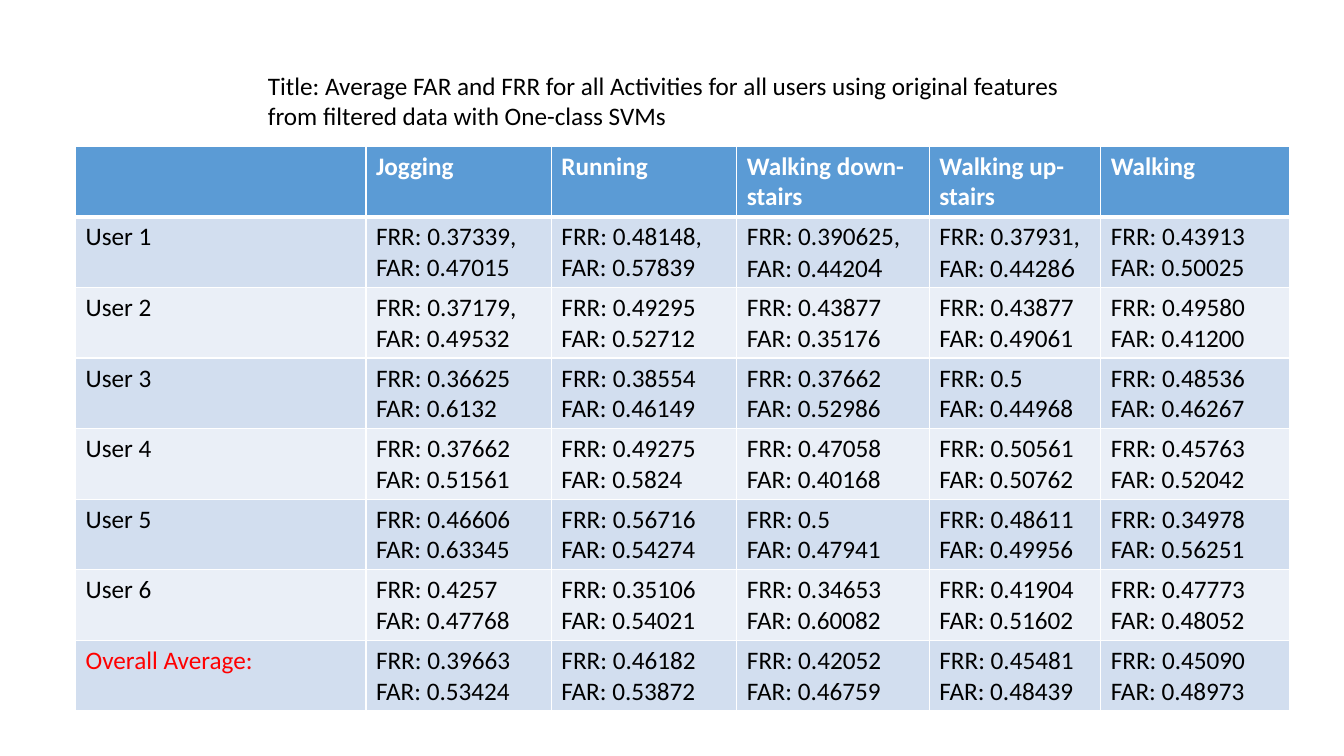
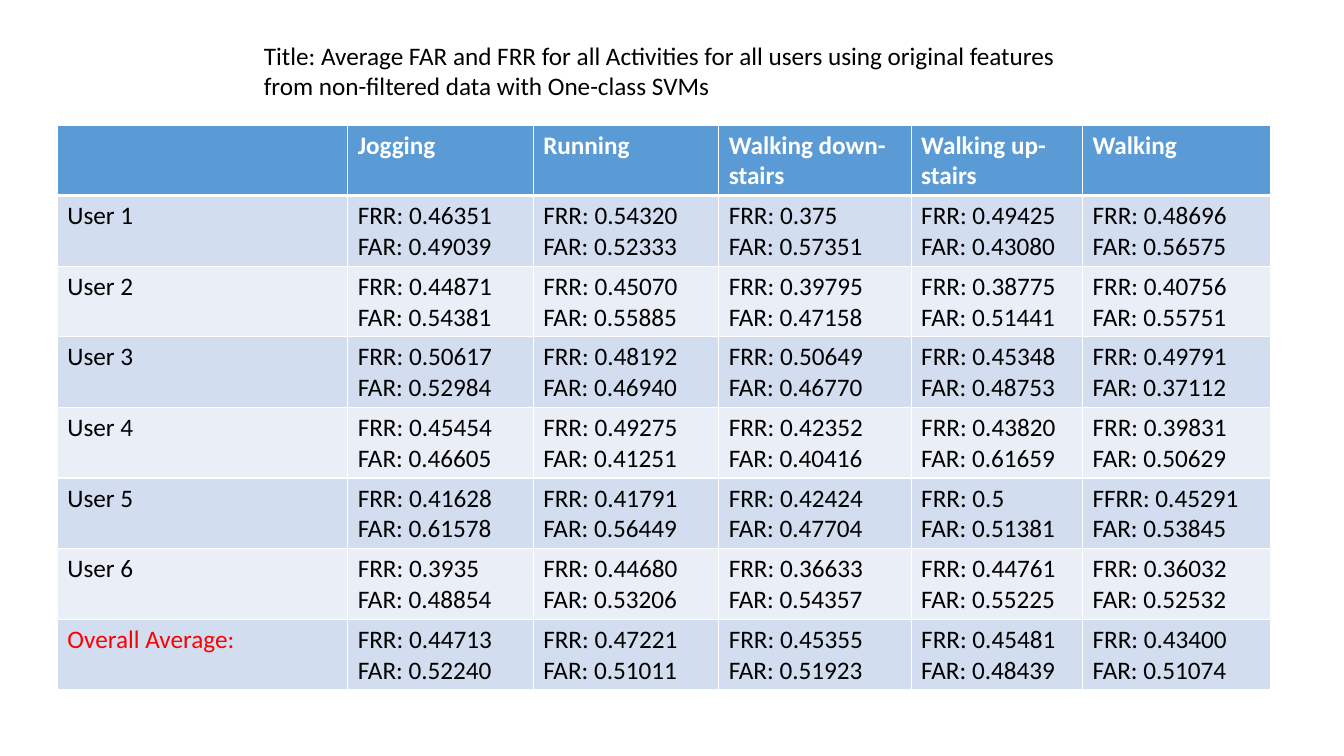
from lxml.etree import SubElement
from pptx import Presentation
from pptx.dml.color import RGBColor
from pptx.enum.text import MSO_AUTO_SIZE as AutoSize
from pptx.oxml.ns import qn
from pptx.util import Pt

ACTIVITIES = ["Jogging", "Running", "Walking down-stairs", "Walking up-stairs", "Walking"]
ROW_LABELS = [f"User {number}" for number in range(1, 7)] + ["Overall Average:"]
COLUMN_WIDTHS = [207.4, 132.5, 132.5, 137.5, 122.4, 134.6]

# Each entry is FRR/FAR; text after "|" is set in the alternate font
FILTERED = [
    ["0.37339,/0.47015", "0.48148,/0.57839", "0.390625,/0.4420|4", "0.37931,/0.4428|6", "0.43913/0.50025"],
    ["0.37179,/0.49532", "0.49295/0.52712", "0.43877/0.35176", "0.43877/0.49061", "0.49580/0.41200"],
    ["0.36625/0.6132", "0.38554/0.46149", "0.37662/0.52986", "0.5/0.44968", "0.48536/0.46267"],
    ["0.37662/0.51561", "0.49275/0.5824", "0.47058/0.40168", "0.50561/0.50762", "0.45763/0.52042"],
    ["0.46606/0.63345", "0.56716/0.54274", "0.5/0.47941", "0.48611/0.49956", "0.34978/0.56251"],
    ["0.4257/0.47768", "0.35106/0.54021", "0.34653/0.60082", "0.41904/0.51602", "0.47773/0.48052"],
    ["0.39663/0.53424", "0.46182/0.53872", "0.42052/0.46759", "0.45481/0.48439", "0.45090/0.48973"],
]
NON_FILTERED = [
    ["0.46351/0.49039", "0.54320/0.52333", "0.375/0.57351", "0.49425/0.43080", "0.48696/0.56575"],
    ["0.44871/0.54381", "0.45070/0.55885", "0.39795/0.47158", "0.38775/0.51441", "0.40756/0.55751"],
    ["0.50617/0.52984", "0.48192/0.46940", "0.50649/0.46770", "0.45348/0.48753", "0.49791/0.37112"],
    ["0.45454/0.46605", "0.49275/0.41251", "0.42352/0.40416", "0.43820/0.61659", "0.39831/0.50629"],
    ["0.41628/0.61578", "0.41791/0.56449", "0.42424/0.47704", "0.5/0.51381", "FFRR: 0.45291/0.53845"],
    ["0.3935/0.48854", "0.44680/0.53206", "0.36633/0.54357", "0.44761/0.55225", "0.36032/0.52532"],
    ["0.44713/0.52240", "0.47221/0.51011", "0.45355/0.51923", "0.45481/0.48439", "0.43400/0.51074"],
]


def color(hex_string):
    return RGBColor.from_string(hex_string)


def rate_lines(entry):
    """Split an FRR/FAR entry into its two labelled lines."""
    return [value if ":" in value else f"{label}: {value}"
            for label, value in zip(("FRR", "FAR"), entry.split("/"))]


class ResultDeck:
    FONT, ALTERNATE_FONT, SIZE = "Calibri", "Lato", 18
    INK, WHITE, ALERT = "000000", "FFFFFF", "FF0000"
    HEADER, BANDS = "5B9BD5", ("D2DEEF", "EAEFF7")
    ROW_HEIGHT, TABLE_HEIGHT = 29.2, 403.2

    def __init__(self):
        self.deck = Presentation()
        self.deck.slide_width, self.deck.slide_height = Pt(960), Pt(540)
        self.page = None

    def add_page(self):
        self.page = self.deck.slides.add_slide(self.deck.slide_layouts[6])

    def add_lines(self, frame, lines, ink=INK, bold=False):
        for index, line in enumerate(lines):
            para = frame.paragraphs[0] if index == 0 else frame.add_paragraph()
            for text, font in zip(line.split("|"), (self.FONT, self.ALTERNATE_FONT)):
                span = para.add_run()
                span.text = text
                span.font.name, span.font.size = font, Pt(self.SIZE)
                span.font.bold = bold
                span.font.color.rgb = color(ink)

    def title(self, left, top, text):
        box = self.page.shapes.add_textbox(Pt(left), Pt(top), Pt(585.4), Pt(51.1))
        box.text_frame.word_wrap = True
        box.text_frame.auto_size = AutoSize.SHAPE_TO_FIT_TEXT
        self.add_lines(box.text_frame, [text])

    def borders(self, cell, top, bottom):
        properties = cell._tc.get_or_add_tcPr()
        for side, width in (("L", 1), ("R", 1), ("T", top), ("B", bottom)):
            line = SubElement(properties, qn(f"a:ln{side}"), w=str(Pt(width)))
            fill = SubElement(line, qn("a:solidFill"))
            SubElement(fill, qn("a:srgbClr"), val=self.WHITE)

    def cell(self, cell, row, lines, ink, bold=False):
        self.borders(cell, top=3 if row == 1 else 1, bottom=3 if row == 0 else 1)
        cell.fill.solid()
        cell.fill.fore_color.rgb = color(self.HEADER if row == 0 else self.BANDS[(row - 1) % 2])
        self.add_lines(cell.text_frame, lines, ink, bold)

    def table(self, left, top, results):
        frame = self.page.shapes.add_table(
            len(results) + 1, len(COLUMN_WIDTHS), Pt(left), Pt(top),
            Pt(sum(COLUMN_WIDTHS)), Pt(self.TABLE_HEIGHT))
        table = frame.table
        for column, width in zip(table.columns, COLUMN_WIDTHS):
            column.width = Pt(width)
        for row in table.rows:
            row.height = Pt(self.ROW_HEIGHT)
        # Rows grow with their text, so the frame is taller than their sum
        frame.height = Pt(self.TABLE_HEIGHT)

        # Header row
        self.cell(table.cell(0, 0), 0, [], self.WHITE)
        for column, activity in enumerate(ACTIVITIES, 1):
            self.cell(table.cell(0, column), 0, [activity], self.WHITE, bold=True)

        # Users and overall average
        for row, (label, entries) in enumerate(zip(ROW_LABELS, results), 1):
            ink = self.ALERT if row == len(results) else self.INK
            self.cell(table.cell(row, 0), row, [label], ink)
            for column, entry in enumerate(entries, 1):
                self.cell(table.cell(row, column), row, rate_lines(entry), self.INK)


def main():
    report = ResultDeck()
    pages = [
        ("filtered", (184.3, 46.8), (54, 104.4), FILTERED),
        ("non-filtered", (181.4, 25.2), (41, 89.3), NON_FILTERED),
    ]
    for kind, title_at, table_at, results in pages:
        report.add_page()
        report.title(*title_at, "Title: Average FAR and FRR for all Activities for all users "
                                f"using original features from {kind} data with One-class SVMs")
        report.table(*table_at, results)
    report.deck.save("out.pptx")


if __name__ == "__main__":
    main()
